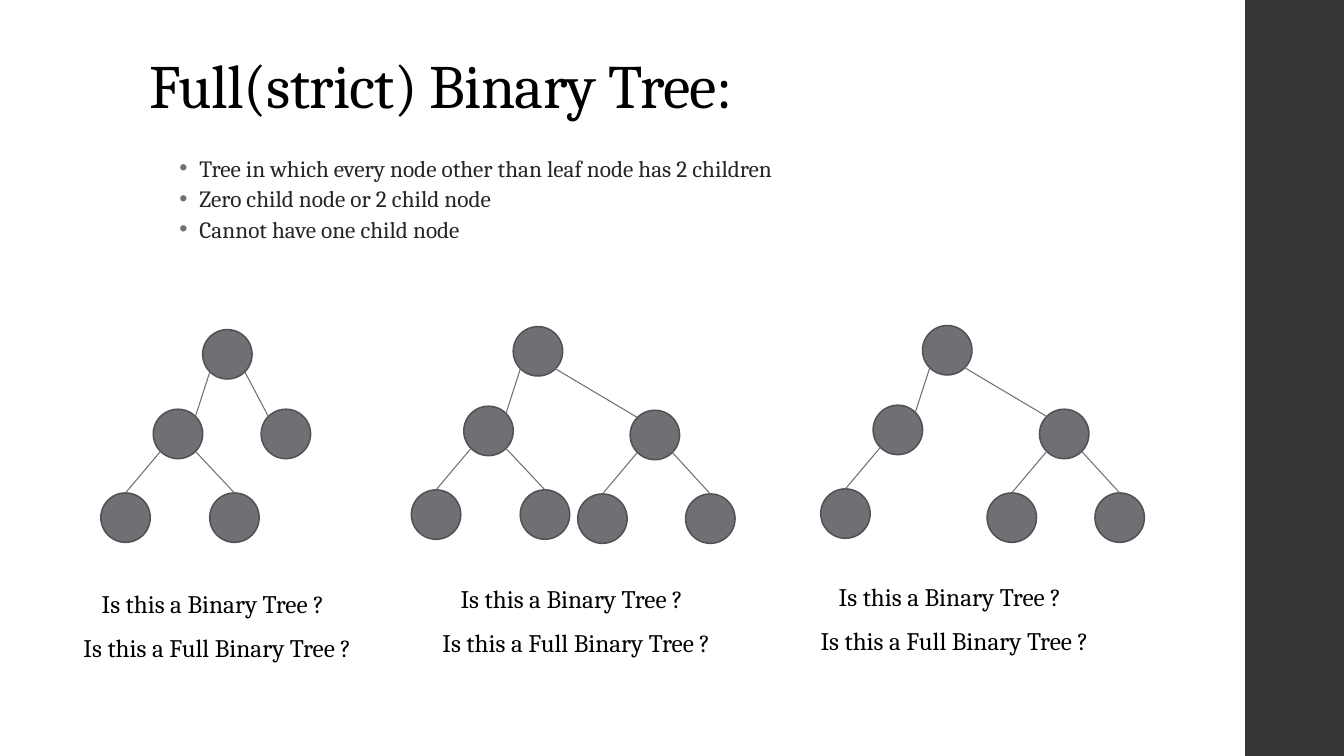
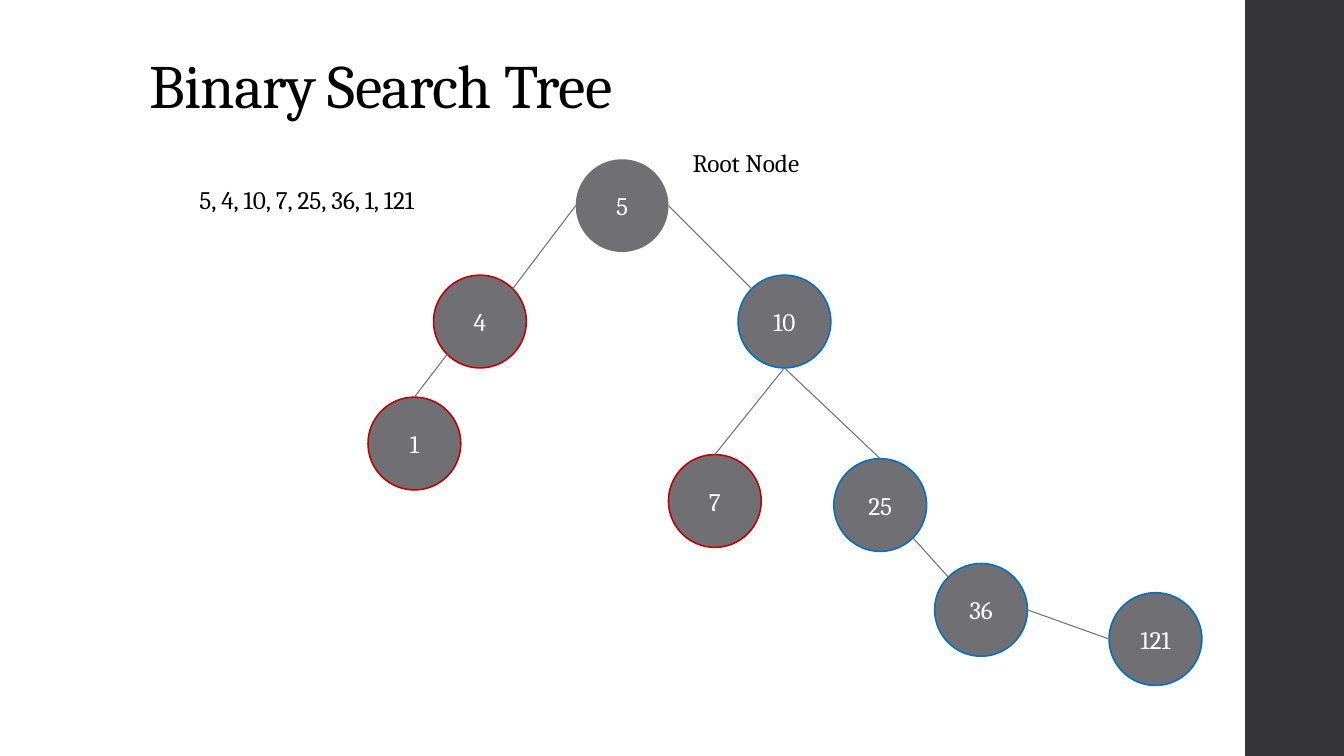
"""Build two slides on full binary trees and binary search trees."""
from dataclasses import dataclass
from math import cos, radians, sin

from lxml.etree import SubElement
from pptx import Presentation
from pptx.dml.color import RGBColor
from pptx.enum.shapes import MSO_CONNECTOR as Connector, MSO_SHAPE as Preset
from pptx.enum.text import MSO_ANCHOR as Anchor, PP_ALIGN as Align
from pptx.oxml.ns import qn
from pptx.util import Inches, Pt


@dataclass(frozen=True)
class Theme:
    font: str = "Cambria"
    ink: str = "000000"
    body_ink: str = "262626"
    white: str = "FFFFFF"
    band: str = "353537"
    node: str = "6F6F74"
    node_line: str = "525256"
    smaller: str = "C00000"
    larger: str = "0070C0"
    title_size: float = 44
    body_size: float = 16.6
    text_size: float = 18
    node_line_width: float = 1.1
    edge_width: float = 0.75


THEME = Theme()
SLIDE_WIDTH, SLIDE_HEIGHT = 13.33, 7.5
BAND_LEFT = 12.35
MARGIN = 1.38
TEXT_HEIGHT = 0.4
SITE_ANGLES = {
    "right": 0, "bottom right": 45, "bottom": 90, "bottom left": 135,
    "left": 180, "top left": 225, "top": 270, "top right": 315,
}

FULL_TITLE = "Full(strict) Binary Tree:"
FULL_RULES = [
    "Tree in which every node other than leaf node has 2 children",
    "Zero child node or 2 child node",
    "Cannot have one child node",
]
QUESTIONS = [
    ("Is this a Binary Tree ?", 0, 0, 2.88),
    ("Is this a Full Binary Tree ?", -0.18, 0.43, 3.36),
]
SMALL_NODE = 0.49
OFFSETS = {
    "root": (0, 0),
    "L": (-0.49, 0.79),
    "LL": (-1.01, 1.62),
    "LR": (0.07, 1.62),
    "near R": (0.58, 0.79),
    "R": (1.16, 0.83),
    "RL": (0.64, 1.66),
    "RR": (1.71, 1.66),
}
EDGES = [
    ("root", "bottom left", "L", "top right"),
    ("root", "bottom right", "near R", "top left"),
    ("root", "bottom right", "R", "top left"),
    ("L", "bottom left", "LL", "top"),
    ("L", "bottom right", "LR", "top"),
    ("R", "bottom left", "RL", "top"),
    ("R", "bottom right", "RR", "top"),
]
FULL_TREES = [
    ((2.01, 3.27), (0.91, 5.79), ["root", "L", "near R", "LL", "LR"]),
    ((5.09, 3.24), (4.47, 5.74), ["root", "L", "LL", "LR", "R", "RL", "RR"]),
    ((9.15, 3.23), (8.22, 5.72), ["root", "L", "LL", "R", "RL", "RR"]),
]

SEARCH_TITLE = "Binary Search Tree"
INSERT_ORDER = "5, 4, 10, 7, 25, 36, 1, 121"
ROOT_LABEL = "Root Node"
LARGE_NODE = 0.92
SEARCH_NODES = {
    "5": (5.71, 1.58, None),
    "4": (4.3, 2.73, THEME.smaller),
    "1": (3.65, 3.94, THEME.smaller),
    "10": (7.32, 2.73, THEME.larger),
    "7": (6.63, 4.51, THEME.smaller),
    "25": (8.27, 4.55, THEME.larger),
    "36": (9.27, 5.59, THEME.larger),
    "121": (11, 5.88, THEME.larger),
}
SEARCH_EDGES = [
    ("5", "left", "4", "top right"),
    ("5", "right", "10", "top left"),
    ("4", "bottom left", "1", "top"),
    ("10", "bottom", "7", "top"),
    ("10", "bottom", "25", "top"),
    ("25", "bottom right", "36", "top left"),
    ("36", "right", "121", "left"),
]


def rgb(value):
    return RGBColor.from_string(value)


def style_run(run, size, color):
    run.font.name = THEME.font
    run.font.size = Pt(size)
    run.font.color.rgb = rgb(color)


def add_text(slide, lines, left, top, width, height=TEXT_HEIGHT,
             size=THEME.text_size, color=THEME.ink):
    box = slide.shapes.add_textbox(*map(Inches, (left, top, width, height)))
    frame = box.text_frame
    frame.word_wrap = True
    frame.text = "\n".join(lines)
    for paragraph in frame.paragraphs:
        style_run(paragraph.runs[0], size, color)
    return frame


def set_indent(paragraph, left, first=0):
    properties = paragraph._p.get_or_add_pPr()
    properties.set("marL", str(Inches(left)))
    properties.set("indent", str(Inches(first)))
    return properties


def add_bullet(paragraph):
    paragraph.line_spacing = 0.8
    paragraph.space_before = paragraph.space_after = Pt(3)
    properties = set_indent(paragraph, 0.5, -0.2)
    bullet_color = SubElement(properties, qn("a:buClr"))
    SubElement(bullet_color, qn("a:srgbClr"), val=THEME.node)
    SubElement(properties, qn("a:buFont"), typeface="Arial")
    SubElement(properties, qn("a:buChar"), char="•")


def add_preset(slide, preset, left, top, width, height, fill, line=None):
    shape = slide.shapes.add_shape(preset, *map(Inches, (left, top, width, height)))
    shape.shadow.inherit = False
    shape.fill.solid()
    shape.fill.fore_color.rgb = rgb(fill)
    if line:
        shape.line.color.rgb = rgb(line)
        shape.line.width = Pt(THEME.node_line_width)
    else:
        shape.line.fill.background()
    return shape


def add_node(slide, left, top, size, line, label=""):
    node = add_preset(slide, Preset.OVAL, left, top, size, size, THEME.node, line)
    if label:
        frame = node.text_frame
        frame.text = label
        frame.vertical_anchor = Anchor.MIDDLE
        frame.paragraphs[0].alignment = Align.CENTER
        style_run(frame.paragraphs[0].runs[0], THEME.text_size, THEME.white)
    return node


def site_point(node, site):
    angle = radians(SITE_ANGLES[site])
    radius = node.width / 2
    return (int(node.left + radius + radius * cos(angle)),
            int(node.top + radius + radius * sin(angle)))


def add_edges(slide, nodes, edges):
    for parent, parent_site, child, child_site in edges:
        if parent not in nodes or child not in nodes:
            continue
        edge = slide.shapes.add_connector(
            Connector.STRAIGHT, *site_point(nodes[parent], parent_site),
            *site_point(nodes[child], child_site))
        if child_site == "top":
            edge.end_connect(nodes[child], 0)
        edge.line.color.rgb = rgb(THEME.node)
        edge.line.width = Pt(THEME.edge_width)
        SubElement(edge._element.spPr, qn("a:effectLst"))


def add_base_slide(presentation, title):
    slide = presentation.slides.add_slide(presentation.slide_layouts[6])
    add_preset(slide, Preset.RECTANGLE, BAND_LEFT, 0,
               SLIDE_WIDTH - BAND_LEFT, SLIDE_HEIGHT, THEME.band)
    frame = add_text(slide, [title], MARGIN, 0.4, 10.6, 0.86, THEME.title_size)
    frame.vertical_anchor = Anchor.BOTTOM
    paragraph = frame.paragraphs[0]
    paragraph.line_spacing = 0.9
    paragraph.runs[0]._r.get_or_add_rPr().set("spc", "-50")
    return slide


def build_full_tree_slide(presentation):
    slide = add_base_slide(presentation, FULL_TITLE)
    rules = add_text(slide, FULL_RULES, MARGIN, 1.53, 9.4, 1.01,
                     THEME.body_size, THEME.body_ink)
    for paragraph in rules.paragraphs:
        add_bullet(paragraph)
    for (root_left, root_top), (text_left, text_top), names in FULL_TREES:
        nodes = {}
        for name in names:
            across, down = OFFSETS[name]
            nodes[name] = add_node(slide, root_left + across, root_top + down,
                                   SMALL_NODE, THEME.node_line)
        add_edges(slide, nodes, EDGES)
        for question, across, down, width in QUESTIONS:
            add_text(slide, [question], text_left + across, text_top + down, width)


def build_search_tree_slide(presentation):
    slide = add_base_slide(presentation, SEARCH_TITLE)
    nodes = {label: add_node(slide, left, top, LARGE_NODE, line, label)
             for label, (left, top, line) in SEARCH_NODES.items()}
    add_edges(slide, nodes, SEARCH_EDGES)
    add_text(slide, [ROOT_LABEL], 6.77, 1.41, 1.41)
    order = add_text(slide, [INSERT_ORDER], MARGIN, 1.78, 3.51)
    set_indent(order.paragraphs[0], 0.5)


def main():
    presentation = Presentation()
    presentation.slide_width = Inches(SLIDE_WIDTH)
    presentation.slide_height = Inches(SLIDE_HEIGHT)
    build_full_tree_slide(presentation)
    build_search_tree_slide(presentation)
    presentation.save("out.pptx")


if __name__ == "__main__":
    main()
